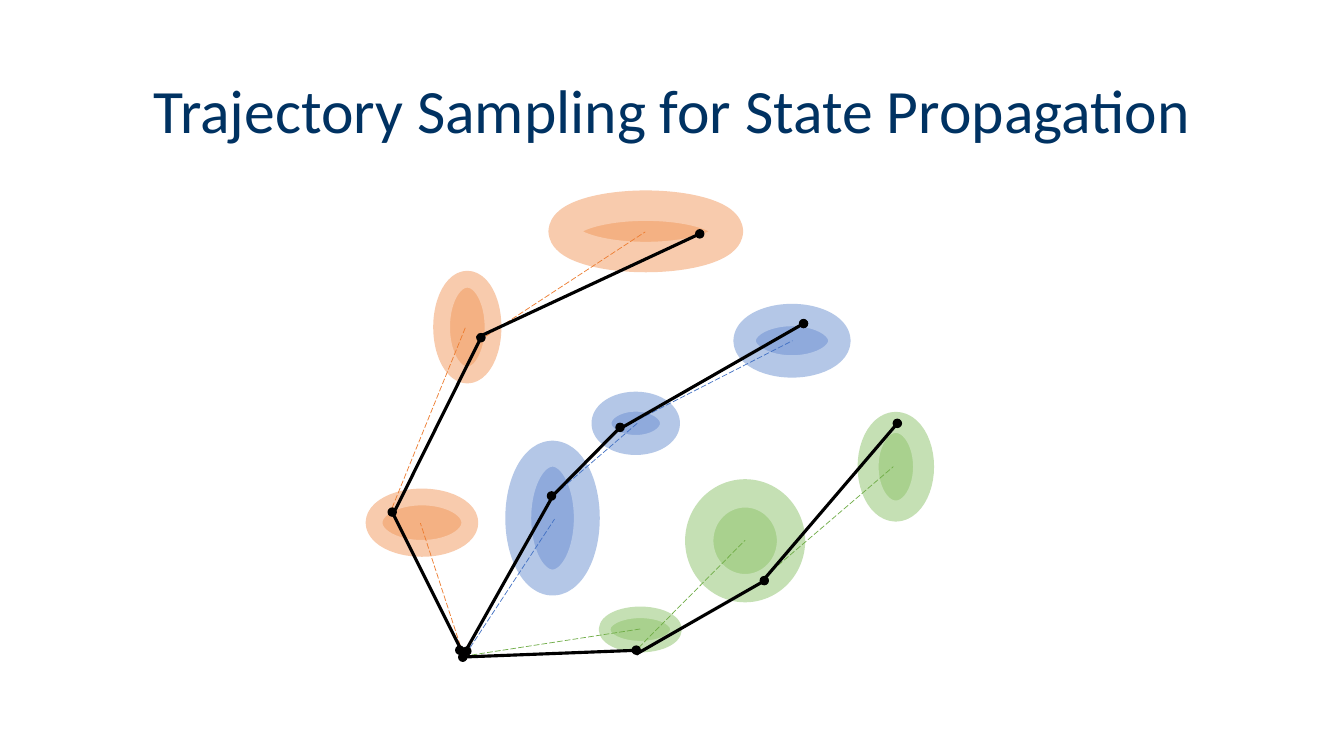
from dataclasses import dataclass
from typing import Any

from lxml import etree
from pptx import Presentation
from pptx import util as u
from pptx.dml.color import RGBColor
from pptx.enum import dml, shapes, text
from pptx.oxml.ns import qn

PX = 9144  # EMU; 100 px to the inch
DOT = 8
COLORS = {
    "title": "003262", "sample": "000000",
    "orange": "F4B183", "orange_halo": "F8CBAD", "orange_mean": "ED7D31",
    "blue": "8FAADC", "blue_halo": "B4C7E7", "blue_mean": "4472C4",
    "green": "A9D18E", "green_halo": "C5E0B4", "green_mean": "70AD47",
}
MEAN_LINE = {"width": u.Pt(0.5), "dash_style": dml.MSO_LINE.LONG_DASH}
SAMPLE_LINE = {"width": u.Pt(2.25)}
TITLE_FONT = {"name": "Calibri", "size": u.Pt(44), "bold": False}
TITLE_FRAME = {"word_wrap": True, "vertical_anchor": text.MSO_ANCHOR.MIDDLE}
TITLE_PARAGRAPH = {"alignment": text.PP_ALIGN.CENTER, "line_spacing": 0.9}

Point = tuple[int, int]
Segment = tuple[int, int, int, int]


@dataclass
class Region:
    """Uncertainty ellipse: box before turning, halo width in points."""
    left: int
    top: int
    width: int
    height: int
    halo: float
    turn: int = 0


@dataclass
class Trajectory:
    hue: str
    regions: list[Region]
    means: list[Segment]
    steps: list[Segment]
    samples: list[Point]


SHARED_START: Point = (459, 647)
TRAJECTORIES = [
    Trajectory(
        "orange",
        [Region(438, 277, 51, 95, 12), Region(393, 471, 51, 95, 12, 270),
         Region(615, 148, 51, 163, 21.75, 90)],
        [(459, 648, 417, 519), (386, 511, 462, 324), (475, 338, 640, 230)],
        [(459, 648, 389, 508), (392, 506, 477, 335), (473, 335, 694, 232)],
        [(456, 645), (389, 508), (477, 335), (694, 232)],
    ),
    Trajectory(
        "blue",
        [Region(760, 291, 51, 94, 16, 90), Region(609, 386, 43, 68, 14.25, 90),
         Region(514, 450, 68, 128, 18.5)],
        [(462, 649, 550, 515), (545, 495, 632, 420), (612, 427, 786, 338)],
        [(460, 649, 550, 489), (618, 421, 545, 495), (612, 427, 797, 321)],
        [(463, 646), (547, 492), (615, 424), (797, 321)],
    ),
    Trajectory(
        "green",
        [Region(861, 419, 55, 88, 15), Region(692, 491, 94, 91, 20.25, 90),
         Region(618, 589, 34, 71, 8.25, 90)],
        [(460, 651, 635, 624), (628, 648, 739, 536), (754, 576, 886, 463)],
        [(455, 652, 635, 645), (755, 578, 631, 649), (755, 578, 890, 420)],
        [(459, 652), (631, 645), (758, 576), (890, 420)],
    ),
]


def scaled(*lengths: int) -> list[int]:
    return [length * PX for length in lengths]


def apply(target: Any, values: dict[str, Any]) -> None:
    for key, value in values.items():
        setattr(target, key, value)


def rgb(name: str) -> RGBColor:
    return RGBColor.from_string(COLORS[name])


def draw_ellipse(slide: Any, region: Region, fill: str, outline: str) -> None:
    ellipse = slide.shapes.add_shape(
        shapes.MSO_SHAPE.OVAL,
        *scaled(region.left, region.top, region.width, region.height))
    ellipse.shadow.inherit = False
    ellipse.rotation = region.turn
    ellipse.fill.solid()
    ellipse.fill.fore_color.rgb = rgb(fill)
    ellipse.line.color.rgb = rgb(outline)
    ellipse.line.width = u.Pt(region.halo)


def draw_dot(slide: Any, center: Point) -> None:
    x, y = center
    dot = Region(x - DOT // 2, y - DOT // 2, DOT, DOT, 1)
    draw_ellipse(slide, dot, "sample", "sample")


def draw_segment(slide: Any, segment: Segment, color: str,
                 line_format: dict[str, Any]) -> None:
    connector = slide.shapes.add_connector(
        shapes.MSO_CONNECTOR.STRAIGHT, *scaled(*segment))
    connector.line.color.rgb = rgb(color)
    apply(connector.line, line_format)
    etree.SubElement(connector._element.spPr, qn("a:effectLst"))


def draw_title(slide: Any, wording: str) -> None:
    frame = slide.shapes.add_textbox(*scaled(92, 40, 1150, 145)).text_frame
    apply(frame, TITLE_FRAME)
    heading = frame.paragraphs[0]
    apply(heading, TITLE_PARAGRAPH)
    run = heading.add_run()
    run.text = wording
    apply(run.font, TITLE_FONT)
    run.font.color.rgb = rgb("title")


def main() -> None:
    deck = Presentation()
    deck.slide_width, deck.slide_height = scaled(1333, 750)
    slide = deck.slides.add_slide(deck.slide_layouts[6])

    for trajectory in TRAJECTORIES:
        for region in trajectory.regions:
            draw_ellipse(slide, region, trajectory.hue, f"{trajectory.hue}_halo")
    for trajectory in TRAJECTORIES:
        for mean in trajectory.means:
            draw_segment(slide, mean, f"{trajectory.hue}_mean", MEAN_LINE)

    draw_title(slide, "Trajectory Sampling for State Propagation")

    for trajectory in TRAJECTORIES:
        for step in trajectory.steps:
            draw_segment(slide, step, "sample", SAMPLE_LINE)
    draw_dot(slide, SHARED_START)
    for trajectory in TRAJECTORIES:
        for sample in trajectory.samples:
            draw_dot(slide, sample)

    deck.save("out.pptx")


if __name__ == "__main__":
    main()
